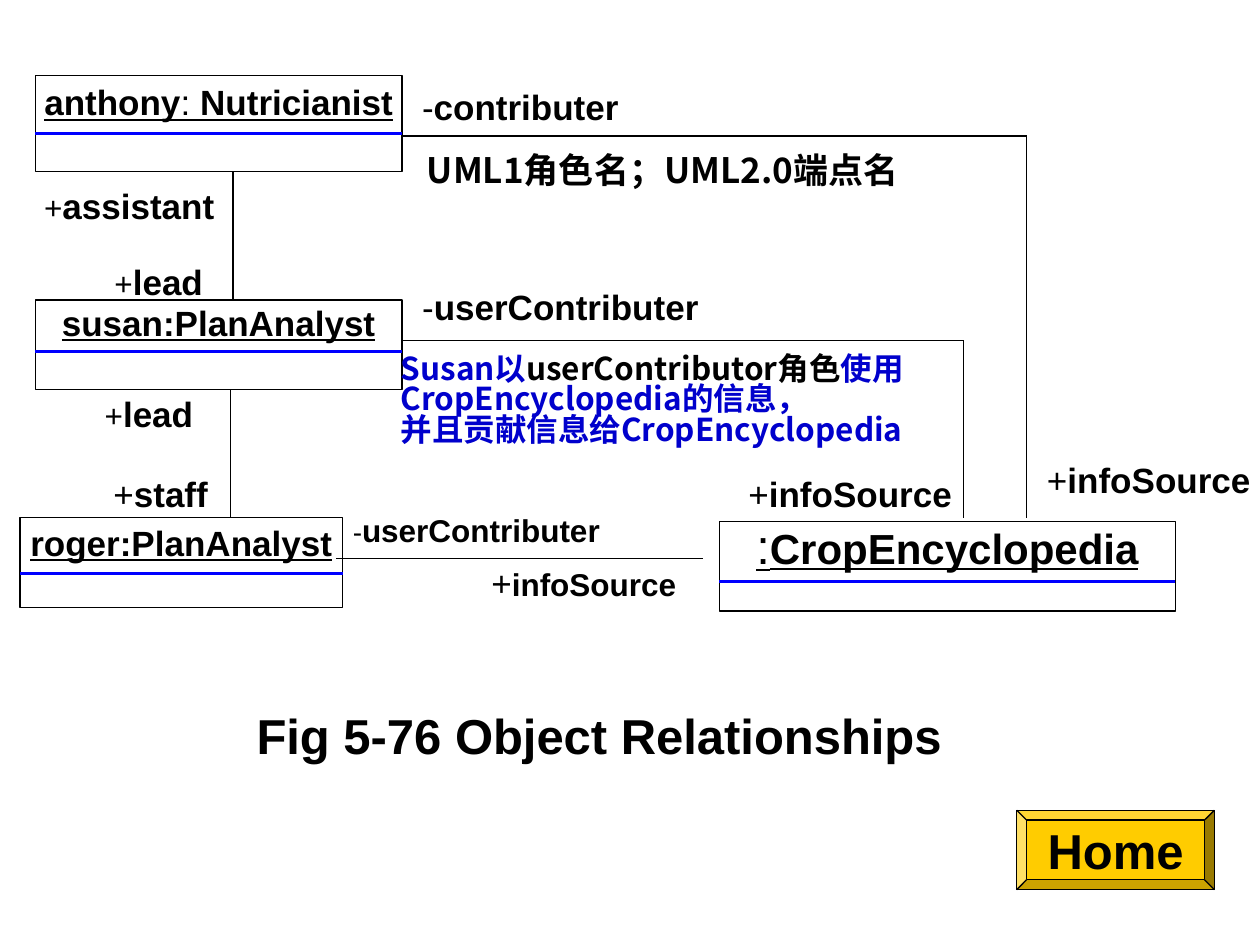
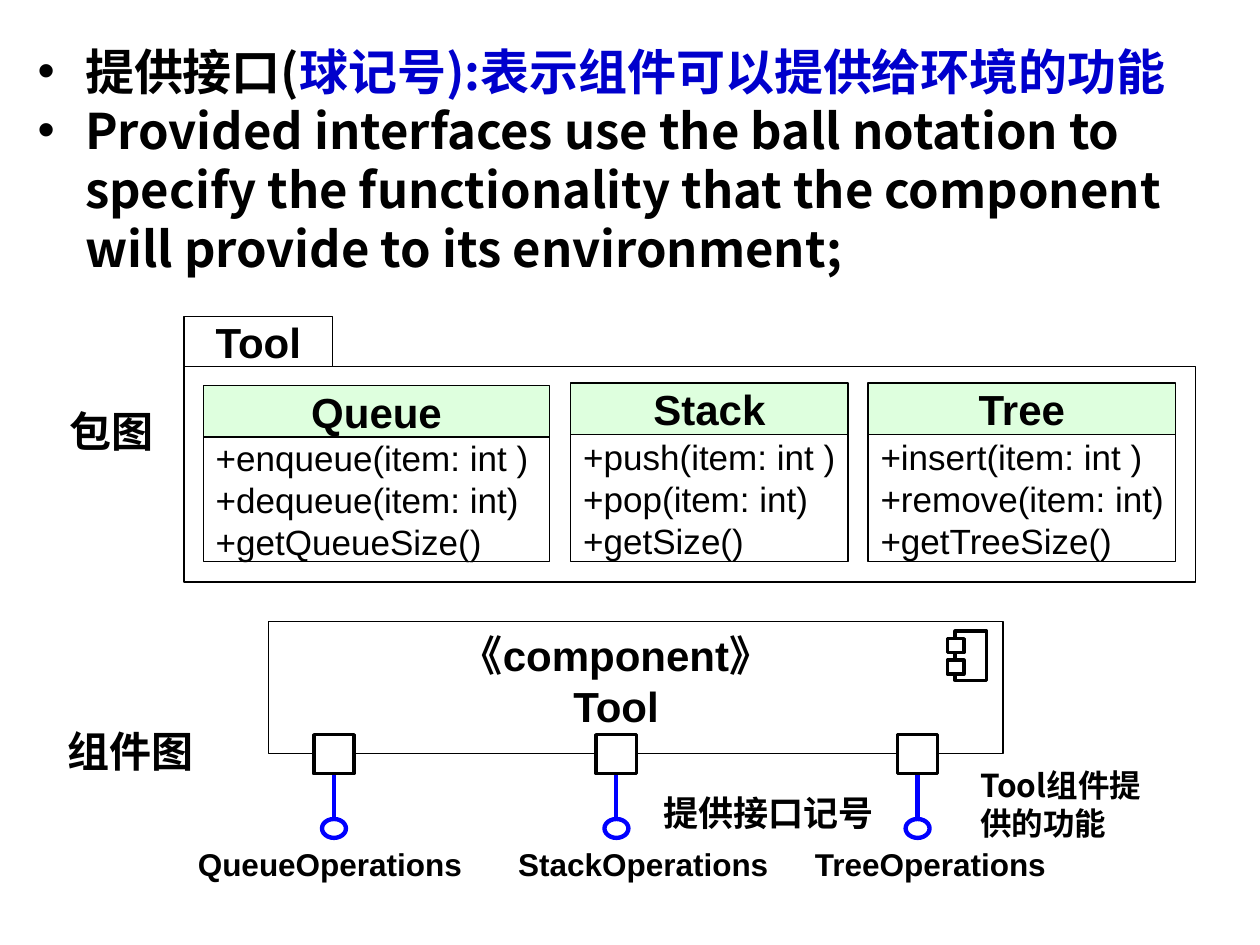
import pptx
import pptx.util
import pptx.dml.color
import pptx.enum.shapes
import pptx.enum.text
import pptx.oxml.ns
from lxml import etree

Pt = pptx.util.Pt
SHAPE = pptx.enum.shapes.MSO_SHAPE
ALIGN = pptx.enum.text.PP_ALIGN
ANCHOR = pptx.enum.text.MSO_ANCHOR
qn = pptx.oxml.ns.qn

BLACK, WHITE, BLUE, NAVY = "000000", "FFFFFF", "0000FF", "0000CC"
GOLD, GREEN = "FFCC00", "00FF00"
LATIN, CJK = "Arial", "Noto Sans CJK SC"
PADDING = (7.2, 3.6, 7.2, 3.6)
NO_PADDING = (0, 0, 0, 0)


def run(text, size, bold=True, font=LATIN, color=BLACK, underline=False):
    return dict(text=text, size=size, bold=bold, font=font, color=color,
                underline=underline)


# Slide 1: box, centre of the name below the box top, height of the divider, name
OBJECTS = [
    ((20.2, 43.2, 209.5, 54.7), 15, 76.3,
     [run("anthony", 20, underline=True), run(": ", 20, False, underline=True),
      run("Nutricianist", 20, underline=True)]),
    ((20.2, 171.4, 209.5, 51.1), 12.8, 200.9,
     [run("susan:PlanAnalyst", 20, underline=True)]),
    ((11.5, 295.9, 184.3, 51.1), 14, 327.6,
     [run("roger:PlanAnalyst", 20, underline=True)]),
    ((411.1, 298.1, 260.6, 51.1), 13.3, 332.2,
     [run(":", 28, False, underline=True),
      run("CropEncyclopedia", 24, underline=True)]),
]
ASSOCIATIONS = [
    [(133.2, 97.9), (133.2, 171.4)],
    [(131.8, 222.5), (131.8, 295.9)],
    [(192.2, 319), (401.8, 319)],
    [(229.7, 77.8), (586.8, 77.8), (586.8, 295.9)],
    [(229.7, 194.4), (550.5, 194.4), (550.5, 295.9)],
]
# left, top, width, sign, sign size, role name, name size, alignment
ROLES = [
    (25.2, 105.4, 102, "+", 18, "assistant", 20, ALIGN.LEFT),
    (42.5, 149, 73.5, "+", 18, "lead", 20, ALIGN.RIGHT),
    (59.8, 224.4, 57, "+", 18, "lead", 20, ALIGN.LEFT),
    (64.8, 270, 57, "+", 20, "staff", 20, ALIGN.LEFT),
    (241.2, 49, 119, "-", 20, "contributer", 20, ALIGN.LEFT),
    (241.2, 163.2, 170, "-", 20, "userContributer", 20, ALIGN.LEFT),
    (201.6, 291.8, 158.5, "-", 16, "userContributer", 18, ALIGN.LEFT),
    (280.8, 321, 113, "+", 20, "infoSource", 18, ALIGN.LEFT),
    (427.7, 270, 119, "+", 20, "infoSource", 20, ALIGN.LEFT),
    (598.3, 262, 119, "+", 20, "infoSource", 20, ALIGN.LEFT),
]
ROLE_NOTE = [[run("UML1角色名；UML2.0端点名", 20, font=CJK)]]
USAGE_NOTE = [
    [run("Susan以", 18, font=CJK, color=NAVY),
     run("userContributor角色", 18, font=CJK),
     run("使用CropEncyclopedia的信息，", 18, font=CJK, color=NAVY)],
    [run("并且贡献信息给CropEncyclopedia", 18, font=CJK, color=NAVY)],
]
CAPTION = [[run("Fig 5-76 Object Relationships", 28)]]

# Slide 2
DEFINITIONS = [
    [run("提供接口(", 28, font=CJK),
     run("球记号):表示组件可以提供给环境的功能", 28, font=CJK, color=NAVY)],
    [run("Provided interfaces use the ball notation to specify the "
         "functionality that the component will provide to its environment;",
         28, font=CJK)],
]
# left, top, width, name, operations
CLASSES = [
    (116.2, 220.3, 198, "Queue",
     ["+enqueue(item: int )", "+dequeue(item: int)", "+getQueueSize()"]),
    (326.2, 218.9, 158.4, "Stack",
     ["+push(item: int )", "+pop(item: int)", "+getSize()"]),
    (496.1, 218.9, 175.7, "Tree",
     ["+insert(item: int )", "+remove(item: int)", "+getTreeSize()"]),
]
CLASS_NAME_HEIGHT, CLASS_BOTTOM = 29.5, 320.8
# centre of port, centre of label, label
INTERFACES = [
    (190.8, 188.6, "QueueOperations"),
    (352.2, 367.6, "StackOperations"),
    (524.3, 531.7, "TreeOperations"),
]
# box, wrap, size, lines
CHINESE_LABELS = [
    ((32.4, 228.2, 67, 36), True, 24, ["包图"]),
    ((31.7, 411.1, 86.4, 36), False, 24, ["组件图"]),
    ((553, 434.2, 124.6, 50.4), True, 18, ["Tool组件提", "供的功能"]),
    ((372.2, 448.6, 134.6, 31.7), False, 20, ["提供接口记号"]),
]


def rgb(value):
    return pptx.dml.color.RGBColor.from_string(value)


def points(values):
    return [Pt(value) for value in values]


def write(shape, paragraphs, align=ALIGN.LEFT, anchor=ANCHOR.TOP,
          padding=PADDING, wrap=True, spacing=None, bullet=None):
    frame = shape.text_frame
    frame.word_wrap = wrap
    frame.vertical_anchor = anchor
    (frame.margin_left, frame.margin_top,
     frame.margin_right, frame.margin_bottom) = points(padding)
    for index, runs in enumerate(paragraphs):
        paragraph = frame.paragraphs[0] if index == 0 else frame.add_paragraph()
        paragraph.alignment = align
        if spacing:
            paragraph.line_spacing = spacing
        if bullet:
            add_bullet(paragraph, bullet)
        for item in runs:
            piece = paragraph.add_run()
            piece.text = item["text"]
            font = piece.font
            font.name, font.size = item["font"], Pt(item["size"])
            font.bold, font.underline = item["bold"], item["underline"]
            font.color.rgb = rgb(item["color"])
            east_asian = etree.Element(qn("a:ea"), typeface=CJK)
            font._element.find(qn("a:latin")).addnext(east_asian)


def add_bullet(paragraph, character, indent=27.2):
    properties = paragraph._p.get_or_add_pPr()
    properties.set("marL", str(Pt(indent)))
    properties.set("indent", str(-Pt(indent)))
    color = etree.SubElement(properties, qn("a:buClr"))
    etree.SubElement(color, qn("a:srgbClr"), val=BLACK)
    etree.SubElement(properties, qn("a:buFont"), typeface=LATIN)
    etree.SubElement(properties, qn("a:buChar"), char=character)


def add_text(shapes, box, paragraphs, **layout):
    write(shapes.add_textbox(*points(box)), paragraphs, **layout)


def add_box(shapes, box, kind=SHAPE.RECTANGLE, fill=WHITE, line=BLACK,
            width=0.75, opacity=None):
    shape = shapes.add_shape(kind, *points(box))
    shape.shadow.inherit = False
    shape.fill.solid()
    shape.fill.fore_color.rgb = rgb(fill)
    if opacity:
        color = shape._element.spPr.find(qn("a:solidFill"))[0]
        etree.SubElement(color, qn("a:alpha"), val=str(opacity * 1000))
    shape.line.color.rgb = rgb(line)
    shape.line.width = Pt(width)
    return shape


def add_line(shapes, start, end, color=BLACK, width=0.75):
    line = shapes.add_connector(pptx.enum.shapes.MSO_CONNECTOR.STRAIGHT,
                                *points(start + end))
    line.line.color.rgb = rgb(color)
    line.line.width = Pt(width)
    etree.SubElement(line._element.spPr, qn("a:effectLst"))


def build_object_diagram(slide):
    shapes = slide.shapes
    for box, name_center, divider, name in OBJECTS:
        left, _, width, height = box
        write(add_box(shapes, box), [name], ALIGN.CENTER, ANCHOR.MIDDLE,
              (7.2, 0, 7.2, height - 2 * name_center), wrap=False)
        add_line(shapes, (left, divider), (left + width, divider), BLUE, 2)
    for corners in ASSOCIATIONS:
        for start, end in zip(corners, corners[1:]):
            add_line(shapes, start, end)
    for left, top, width, sign, sign_size, name, size, align in ROLES:
        add_text(shapes, (left, top, width, 24),
                 [[run(sign, sign_size, False), run(name, size)]],
                 align=align, padding=NO_PADDING)
    add_text(shapes, (239, 85, 279.4, 48.2), ROLE_NOTE, align=ALIGN.CENTER,
             padding=NO_PADDING)
    add_text(shapes, (229, 200.2, 324, 59), USAGE_NOTE, spacing=0.8,
             padding=(0, 3.6, 0, 3.6))
    add_text(shapes, (103.7, 406.1, 477.4, 36.7), CAPTION,
             align=ALIGN.CENTER, spacing=0.8)
    home = add_box(shapes, (581, 463, 113, 45.4), SHAPE.BEVEL, GOLD)
    home.adjustments[0] = 0.125
    write(home, [[run("Home", 28)]], ALIGN.CENTER, ANCHOR.MIDDLE, wrap=False)


def build_package(shapes):
    add_box(shapes, (105.1, 209.5, 578.2, 123.1))
    tab = add_box(shapes, (105.1, 180.7, 85, 28.8))
    write(tab, [[run("Tool", 24)]], ALIGN.CENTER, ANCHOR.MIDDLE,
          (4.3, 0, 4.3, 0))
    for left, top, width, name, operations in CLASSES:
        middle = top + CLASS_NAME_HEIGHT
        body = add_box(shapes, (left, middle, width, CLASS_BOTTOM - middle))
        write(body, [[run(text, 20, False)] for text in operations],
              anchor=ANCHOR.MIDDLE, wrap=False)
        header = add_box(shapes, (left, top, width, CLASS_NAME_HEIGHT),
                         fill=GREEN, opacity=13)
        write(header, [[run(name, 24)]], ALIGN.CENTER, ANCHOR.MIDDLE,
              wrap=False)


def build_component(shapes):
    add_box(shapes, (153.4, 355, 419.8, 75.6))
    add_box(shapes, (545.8, 360.7, 18, 28.1), width=2)
    for top in (365, 377.3):
        add_box(shapes, (541.4, top, 9.4, 7.9), width=2)
    add_text(shapes, (249.8, 356.4, 204.5, 64.8),
             [[run("《component》", 24)], [run("Tool", 24)]],
             align=ALIGN.CENTER)
    for center, label_center, name in INTERFACES:
        add_line(shapes, (center, 442), (center, 468), BLUE, 2.5)
        add_box(shapes, (center - 6.8, 468, 13.7, 10.8), SHAPE.OVAL,
                line=BLUE, width=2.5)
        add_box(shapes, (center - 11.5, 419.8, 23, 22.3), width=2)
        add_text(shapes, (label_center - 90, 479.5, 180, 28.8),
                 [[run(name, 18)]], align=ALIGN.CENTER)


def build_interface_notation(slide):
    add_text(slide.shapes, (14.4, 20.2, 686.2, 141.8), DEFINITIONS, bullet="•")
    build_package(slide.shapes.add_group_shape().shapes)
    build_component(slide.shapes.add_group_shape().shapes)
    for box, wrap, size, lines in CHINESE_LABELS:
        add_text(slide.shapes, box,
                 [[run(text, size, font=CJK)] for text in lines], wrap=wrap)


def main():
    presentation = pptx.Presentation()
    presentation.slide_width, presentation.slide_height = Pt(720), Pt(540)
    for build in (build_object_diagram, build_interface_notation):
        build(presentation.slides.add_slide(presentation.slide_layouts[6]))
    presentation.save("out.pptx")


if __name__ == "__main__":
    main()
